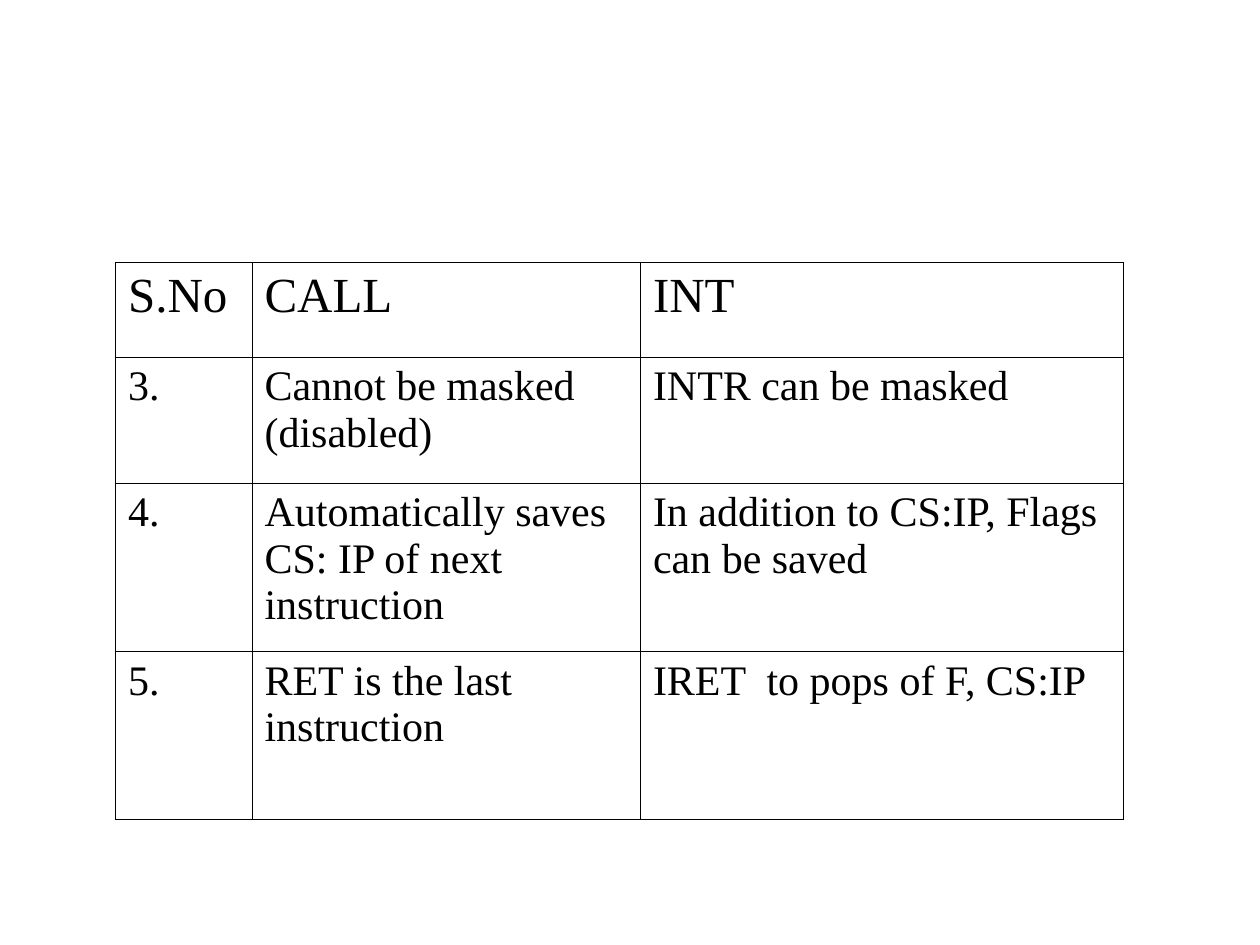
from dataclasses import dataclass

from lxml import etree
from pptx import Presentation
from pptx import util as u
from pptx.dml.color import RGBColor
from pptx.oxml import ns


@dataclass(frozen=True)
class Theme:
    font: str = "Times New Roman"
    ink: str = "000000"
    header_size: float = 28
    body_size: float = 24
    outer_line: float = 1.08
    inner_line: float = 0.45


def write_text(frame, content, *, font, size, color):
    paragraph = frame.paragraphs[0]
    run = paragraph.add_run()
    run.text = content
    run.font.name = font
    run.font.size = u.Pt(size)
    run.font.color.rgb = RGBColor.from_string(color)


class SlideBuilder:
    def __init__(self, slide, theme):
        self.slide = slide
        self.theme = theme

    def border(self, cell, side, width):
        properties = cell._tc.get_or_add_tcPr()
        line = etree.SubElement(properties, ns.qn(f"a:{side}"), w=str(u.Pt(width)))
        fill = etree.SubElement(line, ns.qn("a:solidFill"))
        etree.SubElement(fill, ns.qn("a:srgbClr"), val=self.theme.ink)

    def table(self, rows, left, top, column_widths, row_heights):
        theme = self.theme
        last_row, last_column = len(row_heights) - 1, len(column_widths) - 1
        shape = self.slide.shapes.add_table(
            len(row_heights), len(column_widths), u.Cm(left), u.Cm(top),
            u.Cm(sum(column_widths)), u.Cm(sum(row_heights)))
        table = shape.table
        table.first_row = table.horz_banding = False
        for column, width in zip(table.columns, column_widths):
            column.width = u.Cm(width)
        for row, height in zip(table.rows, row_heights):
            row.height = u.Cm(height)

        for r, row in enumerate(rows):
            for c, content in enumerate(row):
                cell = table.cell(r, c)
                # The outer frame is heavier than the inner grid
                outer_sides = {"lnL": c == 0, "lnR": c == last_column,
                               "lnT": r == 0, "lnB": r == last_row}
                for side, outer in outer_sides.items():
                    self.border(cell, side, theme.outer_line if outer else theme.inner_line)
                cell.fill.background()
                write_text(cell.text_frame, content, font=theme.font, color=theme.ink,
                           size=theme.header_size if r == 0 else theme.body_size)


def main():
    presentation = Presentation()
    presentation.slide_width = u.Cm(25.4)
    presentation.slide_height = u.Cm(19.05)
    slide = presentation.slides.add_slide(presentation.slide_layouts[6])
    builder = SlideBuilder(slide, Theme())

    # Comparison of CALL and INT
    comparison = [
        ("S.No", "CALL", "INT"),
        ("3.", "Cannot be masked (disabled)", "INTR can be masked"),
        ("4.", "Automatically saves CS: IP of next instruction",
         "In addition to CS:IP, Flags can be saved"),
        ("5.", "RET is the last instruction", "IRET  to pops of F, CS:IP"),
    ]
    builder.table(comparison, left=2.33, top=5.29,
                  column_widths=(2.75, 7.83, 9.74),
                  row_heights=(1.91, 2.54, 3.39, 3.39))

    presentation.save("out.pptx")


if __name__ == "__main__":
    main()
